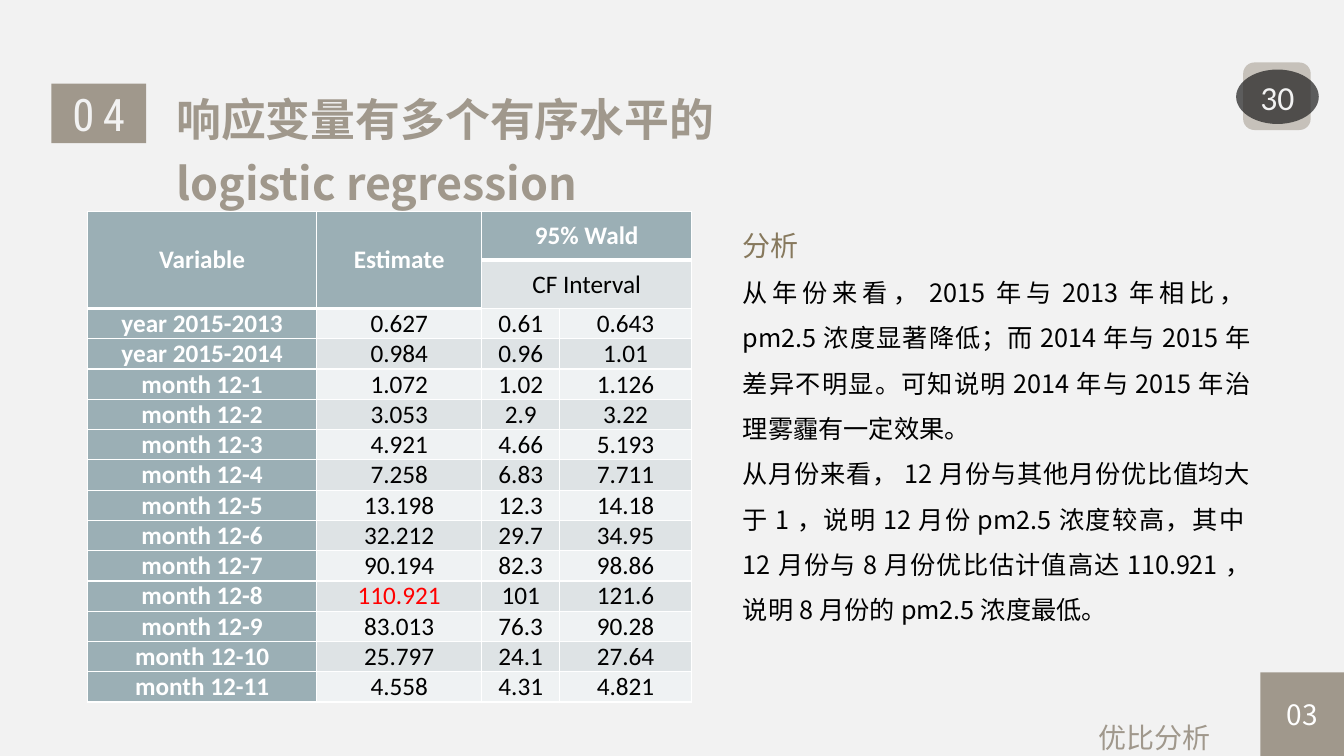
from dataclasses import dataclass
from typing import Any

from lxml import etree
from pptx import Presentation
from pptx.dml.color import RGBColor
from pptx.enum.shapes import MSO_SHAPE
from pptx.enum.text import MSO_ANCHOR, MSO_AUTO_SIZE, PP_ALIGN
from pptx.oxml.ns import qn
from pptx.util import Inches, Pt

RECT, ROUND, OVAL = MSO_SHAPE.RECTANGLE, MSO_SHAPE.ROUNDED_RECTANGLE, MSO_SHAPE.OVAL
MIDDLE = MSO_ANCHOR.MIDDLE
GROW = MSO_AUTO_SIZE.SHAPE_TO_FIT_TEXT
LEFT, CENTER, JUSTIFY = PP_ALIGN.LEFT, PP_ALIGN.CENTER, PP_ALIGN.JUSTIFY

SANS, LATIN, NARROW = "Noto Sans CJK SC", "Calibri", "Roboto Condensed"
TAUPE, PALE, WHITE, BLACK, RED = "A0988C", "F2F2F2", "FFFFFF", "000000", "FF0000"
TEAL, BANDS = "9BAFB5", ("EFF2F3", "DEE3E5")

Box = tuple[float, float, float, float]


@dataclass
class Style:
    size: float
    color: str
    font: str = SANS
    bold: bool = False
    track: int = 0


@dataclass
class Badge:
    kind: Any
    box: Box
    fill: str
    text: str = ""
    style: Style | None = None
    alpha: int = 100
    side: float = 0.1


@dataclass
class Note:
    box: Box
    lines: list[tuple[str, Style]]
    align: Any = LEFT
    lead: float = 1.2
    gap: float = 0


BADGES = [
    Badge(RECT, (0.51, 0.83, 0.94, 0.59), TAUPE, "04", Style(32, PALE, NARROW, track=600)),
    Badge(ROUND, (12.33, 0.62, 0.67, 0.67), "C6C1BA"),
    Badge(OVAL, (12.26, 0.69, 0.82, 0.54), "1D1D1D", "30", Style(24, PALE, LATIN), 70, 0.02),
    Badge(RECT, (12.5, 6.67, 0.83, 0.83), TAUPE, "03", Style(20, WHITE)),
]

BODY = Style(18, BLACK)
NOTES = [
    Note((1.65, 0.75, 6.16, 1.39),
         [("响应变量有多个有序水平的logistic regression", Style(32, TAUPE, bold=True))]),
    Note((10.8, 7.03, 2.9, 0.47), [("优比分析", Style(20, TAUPE))], gap=3),
    Note((7.27, 2.05, 5.23, 4.24), [
        ("分析", Style(20, "87795D")),
        ("从年份来看，2015年与2013年相比，pm2.5浓度显著降低；而2014年与2015年差异不明显。"
         "可知说明2014年与2015年治理雾霾有一定效果。", BODY),
        ("从月份来看，12月份与其他月份优比值均大于1，说明12月份pm2.5浓度较高，"
         "其中12月份与8月份优比估计值高达110.921，说明8月份的pm2.5浓度最低。", BODY),
    ], JUSTIFY, 1.5),
]

HEAD = [("Variable", "Estimate", "95% Wald", ""), ("", "", "CF Interval", "")]
ODDS = [
    ("year 2015-2013", "0.627", "0.61", "0.643"),
    ("year 2015-2014", "0.984", "0.96", "1.01"),
    ("month 12-1", "1.072", "1.02", "1.126"),
    ("month 12-2", "3.053", "2.9", "3.22"),
    ("month 12-3", "4.921", "4.66", "5.193"),
    ("month 12-4", "7.258", "6.83", "7.711"),
    ("month 12-5", "13.198", "12.3", "14.18"),
    ("month 12-6", "32.212", "29.7", "34.95"),
    ("month 12-7", "90.194", "82.3", "98.86"),
    ("month 12-8", "110.921", "101", "121.6"),
    ("month 12-9", "83.013", "76.3", "90.28"),
    ("month 12-10", "25.797", "24.1", "27.64"),
    ("month 12-11", "4.558", "4.31", "4.821"),
]
PEAK = "110.921"
WIDTHS = (2.27, 1.64, 0.77, 1.31)


def paint(fill: Any, color: str) -> None:
    fill.solid()
    fill.fore_color.rgb = RGBColor.from_string(color)


def place(box: Box) -> list[int]:
    return [Inches(n) for n in box]


def write(para: Any, text: str, style: Style, align: Any) -> None:
    para.alignment = align
    run = para.add_run()
    run.text = text
    font = run.font
    font.size, font.bold, font.name = Pt(style.size), style.bold, style.font
    paint(font.fill, style.color)
    props = font._element
    etree.SubElement(props, qn("a:ea"), typeface=style.font)
    if style.track:
        props.set("spc", str(style.track))


def draw_badge(slide: Any, badge: Badge) -> None:
    shape = slide.shapes.add_shape(badge.kind, *place(badge.box))
    shape.shadow.inherit = False
    paint(shape.fill, badge.fill)
    shape.line.fill.background()
    if badge.alpha < 100:
        tint = shape.fill._xPr.find(".//" + qn("a:srgbClr"))
        etree.SubElement(tint, qn("a:alpha"), val=str(badge.alpha * 1000))
    if badge.style:
        frame = shape.text_frame
        frame.vertical_anchor = MIDDLE
        frame.margin_left = frame.margin_right = Inches(badge.side)
        write(frame.paragraphs[0], badge.text, badge.style, CENTER)


def draw_note(slide: Any, note: Note) -> None:
    frame = slide.shapes.add_textbox(*place(note.box)).text_frame
    frame.word_wrap = True
    frame.auto_size = GROW
    for i, (text, style) in enumerate(note.lines):
        para = frame.add_paragraph() if i else frame.paragraphs[0]
        para.line_spacing = note.lead
        para.space_after = Pt(note.gap)
        write(para, text, style, note.align)


def edge(cell: Any, row: int) -> None:
    props = cell._tc.get_or_add_tcPr()
    thick = {(0, "B"), (1, "T")}
    for side in "LRTB":
        width = Pt(3 if (row, side) in thick else 1)
        line = etree.SubElement(props, qn("a:ln" + side), w=str(width))
        fill = etree.SubElement(line, qn("a:solidFill"))
        etree.SubElement(fill, qn("a:srgbClr"), val=WHITE)


def draw_table(slide: Any) -> None:
    data = HEAD + ODDS
    area = place((0.87, 2.1, sum(WIDTHS), 0.3 * len(data)))
    table = slide.shapes.add_table(len(data), len(WIDTHS), *area).table
    table.first_row = table.horz_banding = False
    for col, width in zip(table.columns, WIDTHS):
        col.width = Inches(width)
    for r, row in enumerate(data):
        for c, text in enumerate(row):
            cell = table.cell(r, c)
            head = r == 0 or c == 0 or (r == 1 and c == 1)
            edge(cell, r)
            paint(cell.fill, TEAL if head else BANDS[r % 2])
            cell.vertical_anchor = MIDDLE
            side, rise = (0.17, 0.09) if r < len(HEAD) else (0.13, 0)
            cell.margin_left = cell.margin_right = Inches(side)
            cell.margin_top = cell.margin_bottom = Inches(rise)
            if text:
                color = WHITE if head else RED if text == PEAK else BLACK
                para = cell.text_frame.paragraphs[0]
                write(para, text, Style(18, color, LATIN, head), CENTER)
    # Header spans: two tall cells, two wide ones
    for c in (0, 1):
        table.cell(0, c).merge(table.cell(1, c))
    for r in (0, 1):
        table.cell(r, 2).merge(table.cell(r, 3))


def main() -> None:
    deck = Presentation()
    deck.slide_width, deck.slide_height = Inches(13.33), Inches(7.5)
    slide = deck.slides.add_slide(deck.slide_layouts[6])
    paint(slide.background.fill, PALE)
    # Number badges, then title and commentary
    for badge in BADGES:
        draw_badge(slide, badge)
    for note in NOTES:
        draw_note(slide, note)
    # Odds ratios
    draw_table(slide)
    deck.save("out.pptx")


if __name__ == "__main__":
    main()
